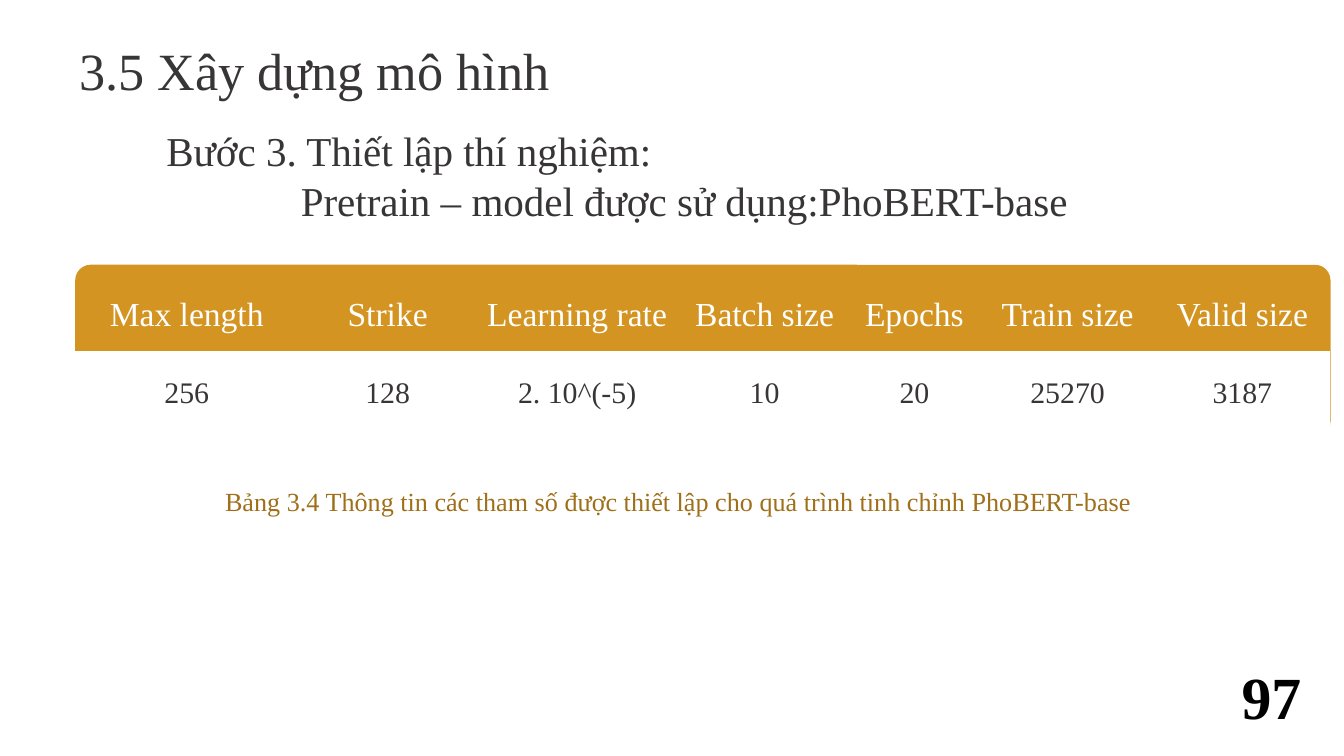
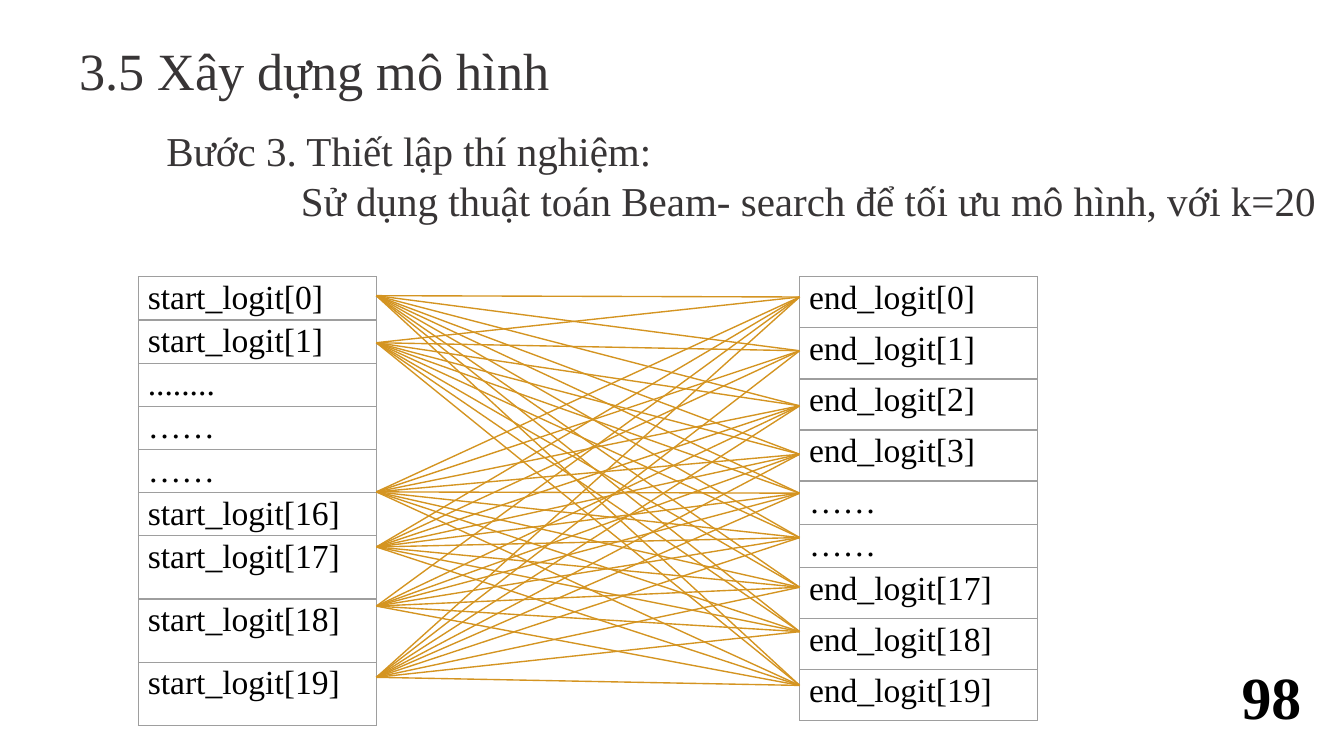
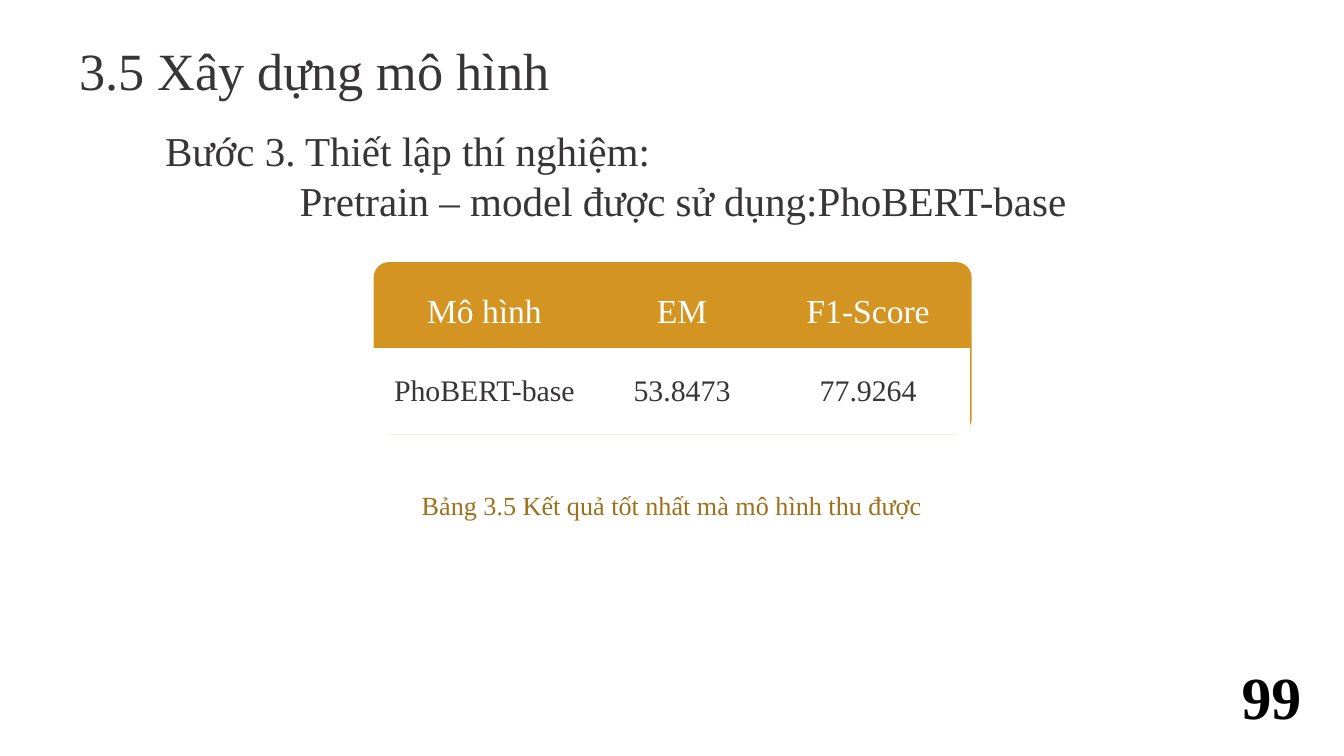
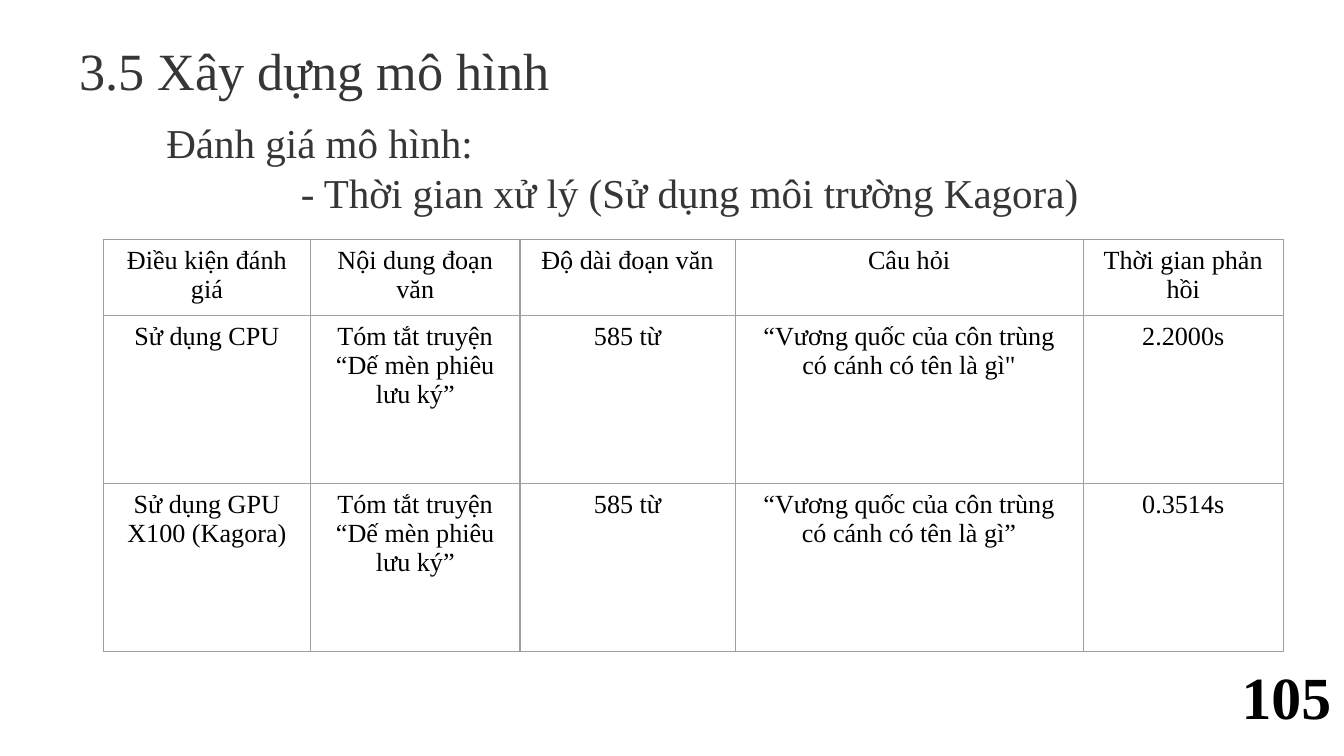
from lxml import etree
from pptx import Presentation
from pptx.dml.color import RGBColor
from pptx.enum.shapes import MSO_CONNECTOR, MSO_SHAPE
from pptx.enum.text import MSO_ANCHOR, MSO_AUTO_SIZE, PP_ALIGN
from pptx.oxml.ns import qn
from pptx.util import Inches, Pt

LEFT, MID = PP_ALIGN.LEFT, PP_ALIGN.CENTER
TOP, CENTER, BASE = MSO_ANCHOR.TOP, MSO_ANCHOR.MIDDLE, MSO_ANCHOR.BOTTOM
GROW = MSO_AUTO_SIZE.SHAPE_TO_FIT_TEXT
ROUND, LINE = MSO_SHAPE.ROUNDED_RECTANGLE, MSO_CONNECTOR.STRAIGHT

# Shared style
FONT = "Times New Roman"
GOLD, BROWN, INK, GRAY = "D49421", "9F6F19", "383536", "9E9E9E"
BLACK, WHITE = "000000", "FFFFFF"
COLS, ROWS = 100, 56.25  # grid over the whole slide
TIGHT = (1, 1, 1, 1)
PLAIN = (1, 0.5, 1, 0.5)
TITLE = "3.5 Xây dựng mô hình"
STEP = "Bước 3. Thiết lập thí nghiệm:"
MODEL = "Pretrain – model được sử dụng:PhoBERT-base"


def rgb(code):
    return RGBColor.from_string(code)


def write(frame, text, size=18, color=BLACK, bold=False, align=LEFT,
          space=None, dents=None):
    """Fill a text frame, one paragraph for each line of text."""
    for i, line in enumerate(text.split("\n")):
        para = frame.paragraphs[0] if i == 0 else frame.add_paragraph()
        para.alignment = align
        if space:
            para.line_spacing = space
        if dents:
            props = para._p.get_or_add_pPr()
            props.set("marL", str(dents[i]))
            props.set("indent", "0")
        run = para.add_run()
        run.text = line
        font = run.font
        font.name, font.size, font.bold = FONT, Pt(size), bold
        font.color.rgb = rgb(color)


def edge(cell, color):
    """Draw all four borders of a cell, or clear them."""
    props = cell._tc.get_or_add_tcPr()
    for side in ("lnL", "lnR", "lnT", "lnB"):
        rule = etree.SubElement(props, qn("a:" + side), w=str(Pt(0.75)))
        if color:
            fill = etree.SubElement(rule, qn("a:solidFill"))
            etree.SubElement(fill, qn("a:srgbClr"), val=color)
        else:
            etree.SubElement(rule, qn("a:noFill"))


class Deck:
    def __init__(self):
        self.file = Presentation()
        self.file.slide_width = Inches(10)
        self.file.slide_height = Inches(5.625)
        self.col = self.file.slide_width / COLS
        self.row = self.file.slide_height / ROWS

    def x(self, n):
        return round(n * self.col)

    def y(self, n):
        return round(n * self.row)

    def rect(self, x, y, w, h):
        return self.x(x), self.y(y), self.x(w), self.y(h)

    def pad(self, item, pads):
        item.margin_left, item.margin_right = self.x(pads[0]), self.x(pads[2])
        item.margin_top, item.margin_bottom = self.y(pads[1]), self.y(pads[3])

    def text(self, spot, text, anchor=TOP, pads=PLAIN, grow=False, **form):
        frame = self.page.shapes.add_textbox(*self.rect(*spot)).text_frame
        frame.word_wrap = True
        frame.vertical_anchor = anchor
        if grow:
            frame.auto_size = GROW
        self.pad(frame, pads)
        write(frame, text, **form)

    def start(self, num):
        """Add a slide with its title and number."""
        self.page = self.file.slides.add_slide(self.file.slide_layouts[6])
        self.text((4.9, 2.9, 93.1, 5.6), TITLE, BASE, TIGHT, size=28, color=INK)
        self.text((91.4, 48.6, 8.7, 6.4), str(num), grow=True, size=32, bold=True)

    def lead(self, head, body, x=10, w=79, h=9.2):
        dents = self.x(1.4), self.x(11.4)
        self.text((x, 8.5, w, h), head + "\n" + body, BASE, TIGHT,
                  size=22, color=INK, dents=dents)

    def note(self, spot, text):
        self.text(spot, text, grow=True, size=14, color=BROWN, align=MID)

    def band(self, *spot):
        shape = self.page.shapes.add_shape(ROUND, *self.rect(*spot))
        shape.adjustments[0] = 0.09
        shape.shadow.inherit = False
        shape.fill.solid()
        shape.fill.fore_color.rgb = rgb(GOLD)
        shape.line.fill.background()

    def line(self, x1, y1, x2, y2):
        link = self.page.shapes.add_connector(
            LINE, self.x(x1), self.y(y1), self.x(x2), self.y(y2))
        link.line.color.rgb = rgb(GOLD)
        link.line.width = Pt(0.75)
        etree.SubElement(link._element.spPr, qn("a:effectLst"))

    def table(self, x, y, wide, high, data, rule=GRAY, pads=PLAIN,
              anchor=TOP, looks=None, **form):
        """Add a table; looks gives each row its fill and text format."""
        spot = self.rect(x, y, sum(wide), sum(high))
        grid = self.page.shapes.add_table(len(high), len(wide), *spot).table
        grid.first_row = grid.horz_banding = False
        for part, w in zip(grid.columns, wide):
            part.width = self.x(w)
        for r, (part, h) in enumerate(zip(grid.rows, high)):
            part.height = self.y(h)
            fill, more = looks[r] if looks else (None, {})
            for cell, text in zip(part.cells, data[r]):
                edge(cell, rule)
                self.pad(cell, pads)
                cell.vertical_anchor = anchor
                if fill and text:
                    cell.fill.solid()
                    cell.fill.fore_color.rgb = rgb(fill)
                else:
                    cell.fill.background()
                if text:
                    write(cell.text_frame, text, **form, **more)

    def sheet(self, x, y, wide, data):
        """Add a two-row table: white head on the band, dark body on white."""
        looks = [(None, {"size": 18, "color": WHITE}),
                 (WHITE, {"size": 16, "color": INK})]
        self.table(x, y, wide, (5.3, 6.4), data, rule=None, pads=TIGHT,
                   anchor=CENTER, looks=looks, align=MID)


def setup(deck):
    deck.start(97)
    deck.lead(STEP, MODEL)
    deck.band(5.6, 19.7, 93.4, 12.8)
    deck.sheet(-1, 20.8, (6.3, 17.2, 12.7, 15.5, 12.4, 9.9, 12.9, 13.1), [
        ("", "Max length", "Strike", "Learning rate", "Batch size", "Epochs",
         "Train size", "Valid size"),
        ("", "256", "128", "2. 10^(-5)", "10", "20", "25270", "3187")])
    deck.note((1, 35.6, 99, 3.4), "Bảng 3.4 Thông tin các tham số được thiết lập "
              "cho quá trình tinh chỉnh PhoBERT-base")


def beam(deck):
    deck.start(98)
    deck.lead(STEP, "Sử dụng thuật toán Beam- search để tối ưu mô hình, với k=20", w=90)
    dots = "……"
    heads = ["start_logit[0]", "start_logit[1]", "........", dots, dots]
    heads += [f"start_logit[{n}]" for n in range(16, 20)]
    tails = [f"end_logit[{n}]" for n in range(4)] + [dots, dots]
    tails += [f"end_logit[{n}]" for n in range(17, 20)]
    lists = [(10.3, [2.5] * 6 + [4.7] * 3, heads),
             (59.5, [3.8] * 4 + [2.8] * 2 + [3.8] * 3, tails)]
    for x, high, names in lists:
        deck.table(x, 20.6, [17.7], high, [[name] for name in names],
                   pads=(0.7, 0, 0.7, 0), space=1.07)
    # Every start joins every end, save one pair
    starts = (22, 25.5, 36.6, 40.7, 45.1, 50.4)
    ends = (22.1, 26.1, 30.2, 33.8, 36.7, 40, 43.7, 47, 51)
    for a in starts:
        for b in ends:
            if (a, b) != (45.1, 26.1):
                deck.line(28, a, 59.5, b)


def score(deck):
    deck.start(99)
    deck.lead(STEP, MODEL, x=9.9, w=79.1)
    deck.band(27.8, 19.5, 44.5, 12.8)
    deck.sheet(21.4, 20.6, (6.2, 16.9, 12.5, 15.2), [
        ("", "Mô hình", "EM", "F1-Score"),
        ("", "PhoBERT-base", "53.8473", "77.9264")])
    deck.note((0, 35.9, 100, 3.4), "Bảng 3.5 Kết quả tốt nhất mà mô hình thu được")


def speed(deck):
    deck.start(105)
    deck.lead("Đánh giá mô hình:",
              "- Thời gian xử lý (Sử dụng môi trường Kagora)", h=8.6)
    tale = "Tóm tắt truyện “Dế mèn phiêu lưu ký”"
    ask = "“Vương quốc của côn trùng có cánh có tên là gì"
    deck.table(7.7, 17.8, (15.4, 15.6, 16, 25.9, 14.9), (5.7, 12.5, 12.5), [
        ("Điều kiện đánh giá", "Nội dung đoạn văn", "Độ dài đoạn văn",
         "Câu hỏi", "Thời gian phản hồi"),
        ("Sử dụng CPU", tale, "585 từ", ask + '"', "2.2000s"),
        ("Sử dụng GPU X100 (Kagora)", tale, "585 từ", ask + "”", "0.3514s")],
        size=14, align=MID)


def main():
    deck = Deck()
    for build in (setup, beam, score, speed):
        build(deck)
    deck.file.save("out.pptx")


if __name__ == "__main__":
    main()
